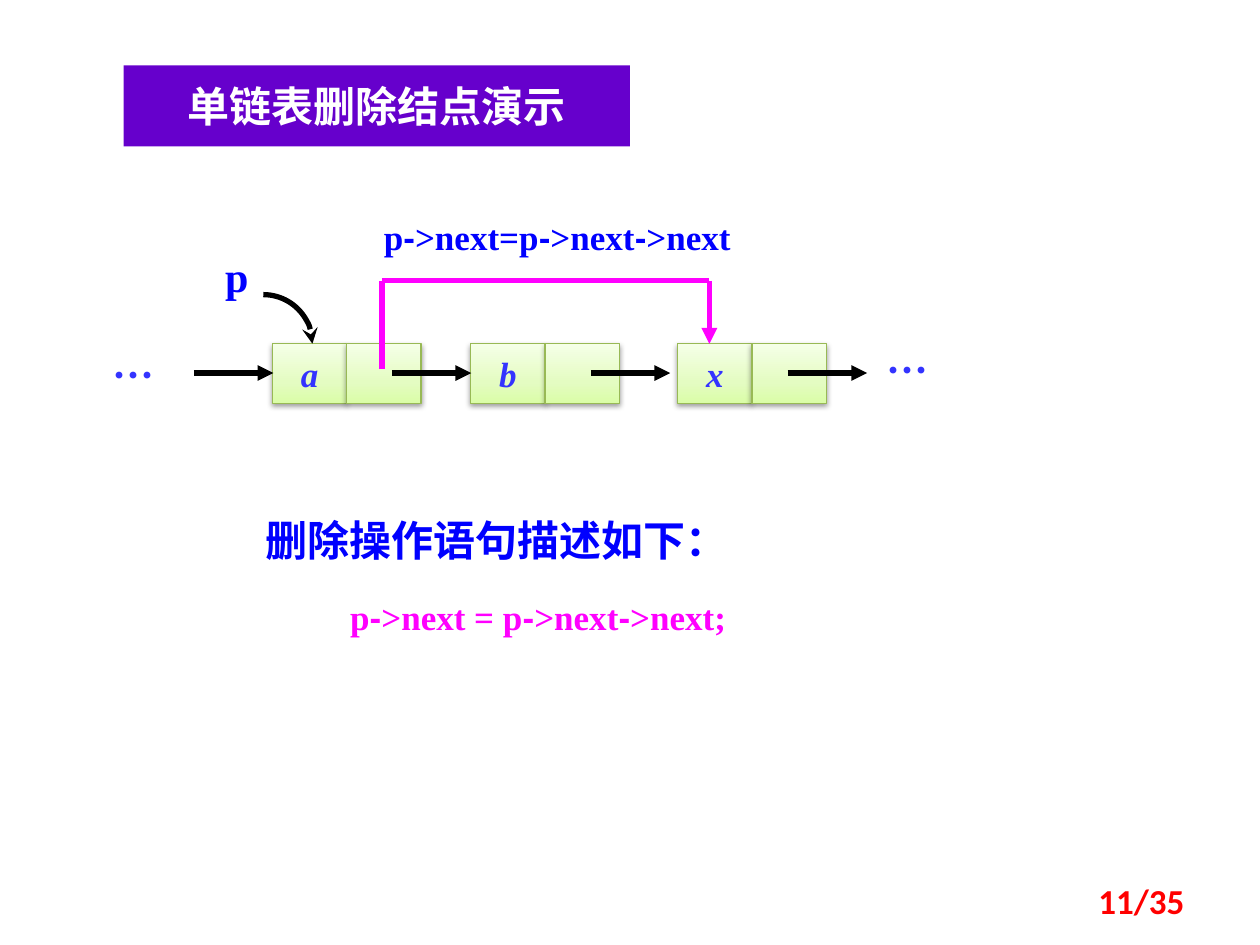
import itertools

import lxml.etree
import pptx
import pptx.dml.color
import pptx.enum.shapes
import pptx.enum.text
import pptx.oxml
import pptx.oxml.ns
import pptx.util

Cm, Pt = pptx.util.Cm, pptx.util.Pt
qn = pptx.oxml.ns.qn
SHAPE = pptx.enum.shapes.MSO_SHAPE
ALIGN = pptx.enum.text.PP_ALIGN
MIDDLE = pptx.enum.text.MSO_ANCHOR.MIDDLE
NS = 'xmlns:a="http://schemas.openxmlformats.org/drawingml/2006/main"'
SERIF, HAN, DASH_FONT = "Times New Roman", "Noto Sans CJK SC", "Arial"
COLORS = {
    "banner": "6600CC", "white": "FFFFFF", "label": "3333FF", "blue": "0000FF",
    "pink": "FF00FF", "red": "FF0000", "black": "000000", "border": "98B955",
}
CELL_STOPS = [(0, "DAFDA7"), (35, "E4FCC2"), (100, "F5FFE7")]

TITLE = "单链表删除结点演示"
TITLE_BOX = (2.49, 1.32, 10.21, 1.63)
NODES = [("a", 5.49), ("b", 9.49), ("x", 13.66)]
NODE_TOP, CELL_W, CELL_H = 6.93, 1.5, 1.2
ARROW_STARTS = [3.91, 7.9, 11.91, 15.88]
ARROW_Y, ARROW_LEN = 7.52, 1.6
BYPASS = [(7.7, 7.44), (7.7, 5.66), (14.3, 5.66), (14.3, NODE_TOP)]
POINTER_ARC = (4.32, 5.94, 1.98, 1.98)
LABELS = [
    ("…", (17.5, 6.83, 1.6, 1.27), dict(font=HAN, color="label", align=ALIGN.CENTER)),
    ("…", (1.9, 6.93, 1.6, 1.27), dict(font=HAN, color="label", align=ALIGN.CENTER)),
    ("p", (4.29, 4.93, 1.19, 1.27), dict()),
    ("p->next=p->next->next", (7.49, 4.22, 10.39, 1.09), dict(size=20)),
]
STATEMENT_BOX = (5.11, 9.73, 13.61, 3.33)
STATEMENT = [
    ("删除操作语句描述如下：", dict(spacing=1.5)),
    ("p->next = p->next->next;",
     dict(size=20, color="pink", spacing=1.5, before=6, indent=1.7)),
]
PAGE, PAGE_BOX = "11/35", (18.21, 17.65, 5.92, 1.02)


def rgb(name):
    return pptx.dml.color.RGBColor.from_string(COLORS[name])


def write(p, text, font=SERIF, size=24, color="blue", italic=False,
          align=ALIGN.LEFT, spacing=None, before=None, indent=None):
    p.alignment = align
    if spacing:
        p.line_spacing = spacing
    if before:
        p.space_before = Pt(before)
    if indent:
        p._p.get_or_add_pPr().set("marL", str(Cm(indent)))
    for is_dash, chars in itertools.groupby(text, lambda ch: ch == "-"):
        r = p.add_run()
        r.text = "".join(chars)
        r.font.name = DASH_FONT if is_dash else font
        r.font.size, r.font.bold, r.font.italic = Pt(size), True, italic
        r.font.color.rgb = rgb(color)
        ea = lxml.etree.Element(qn("a:ea"), typeface=HAN)
        r.font._element.find(qn("a:latin")).addnext(ea)


def add_text(s, box):
    tf = s.shapes.add_textbox(*map(Cm, box)).text_frame
    tf.word_wrap = True
    return tf


def add_cell(s, left, text=""):
    box = (left, NODE_TOP, CELL_W, CELL_H)
    sp = s.shapes.add_shape(SHAPE.RECTANGLE, *map(Cm, box))
    stops = "".join(f'<a:gs pos="{pos * 1000}"><a:srgbClr val="{color}"/></a:gs>'
                    for pos, color in CELL_STOPS)
    spPr = sp._element.spPr
    spPr.find(qn("a:prstGeom")).addnext(pptx.oxml.parse_xml(
        f'<a:gradFill {NS} rotWithShape="1"><a:gsLst>{stops}</a:gsLst>'
        '<a:lin ang="16200000" scaled="0"/></a:gradFill>'))
    sp.line.color.rgb, sp.line.width = rgb("border"), Pt(0.75)
    spPr.append(pptx.oxml.parse_xml(
        f'<a:effectLst {NS}><a:outerShdw blurRad="{Pt(3.1)}" dist="{Pt(1.6)}" '
        'dir="5400000" rotWithShape="0"><a:srgbClr val="000000">'
        '<a:alpha val="38000"/></a:srgbClr></a:outerShdw></a:effectLst>'))
    tf = sp.text_frame
    tf.word_wrap, tf.vertical_anchor = False, MIDDLE
    if text:
        write(tf.paragraphs[0], text, size=20, color="label", italic=True,
              align=ALIGN.CENTER)


def style_line(sp, color, head=None):
    sp.line.color.rgb, sp.line.width = rgb(color), Pt(3)
    if head:
        lxml.etree.SubElement(sp.line._get_or_add_ln(), qn("a:tailEnd"), type=head)


def add_line(s, start, end, color="black", head=None):
    kind = pptx.enum.shapes.MSO_CONNECTOR.STRAIGHT
    sp = s.shapes.add_connector(kind, *map(Cm, start + end))
    style_line(sp, color, head)
    lxml.etree.SubElement(sp._element.spPr, qn("a:effectLst"))


def add_title(s):
    sp = s.shapes.title
    sp.left, sp.top, sp.width, sp.height = map(Cm, TITLE_BOX)
    sp.fill.solid()
    sp.fill.fore_color.rgb = rgb("banner")
    tf = sp.text_frame
    tf.auto_size = pptx.enum.text.MSO_AUTO_SIZE.NONE
    tf.vertical_anchor = MIDDLE
    tf.margin_left = tf.margin_right = Cm(0.46)
    tf.margin_top = tf.margin_bottom = Cm(0.3)
    write(tf.paragraphs[0], TITLE, font=HAN, color="white", align=ALIGN.CENTER)


def main():
    """Build the slide on deleting a node from a singly linked list."""
    prs = pptx.Presentation()
    prs.slide_width, prs.slide_height = Cm(25.4), Cm(19.05)
    s = prs.slides.add_slide(prs.slide_layouts[5])
    add_title(s)
    for name, left in NODES:
        add_cell(s, left, name)
        add_cell(s, left + CELL_W, "")
    for x in ARROW_STARTS:
        add_line(s, (x, ARROW_Y), (x + ARROW_LEN, ARROW_Y), head="triangle")

    arc = s.shapes.add_shape(SHAPE.ARC, *map(Cm, POINTER_ARC))
    arc.shadow.inherit = False
    arc.fill.background()
    style_line(arc, "black", "stealth")

    for start, end in zip(BYPASS, BYPASS[1:]):
        add_line(s, start, end, "pink", "triangle" if end == BYPASS[-1] else None)
    for text, box, fmt in LABELS:
        write(add_text(s, box).paragraphs[0], text, **fmt)

    tf = add_text(s, STATEMENT_BOX)
    for i, (text, fmt) in enumerate(STATEMENT):
        write(tf.add_paragraph() if i else tf.paragraphs[0], text, **fmt)

    tf = add_text(s, PAGE_BOX)
    tf.vertical_anchor = MIDDLE
    write(tf.paragraphs[0], PAGE, font="Calibri", size=20, color="red",
          align=ALIGN.RIGHT)
    prs.save("out.pptx")


if __name__ == "__main__":
    main()
